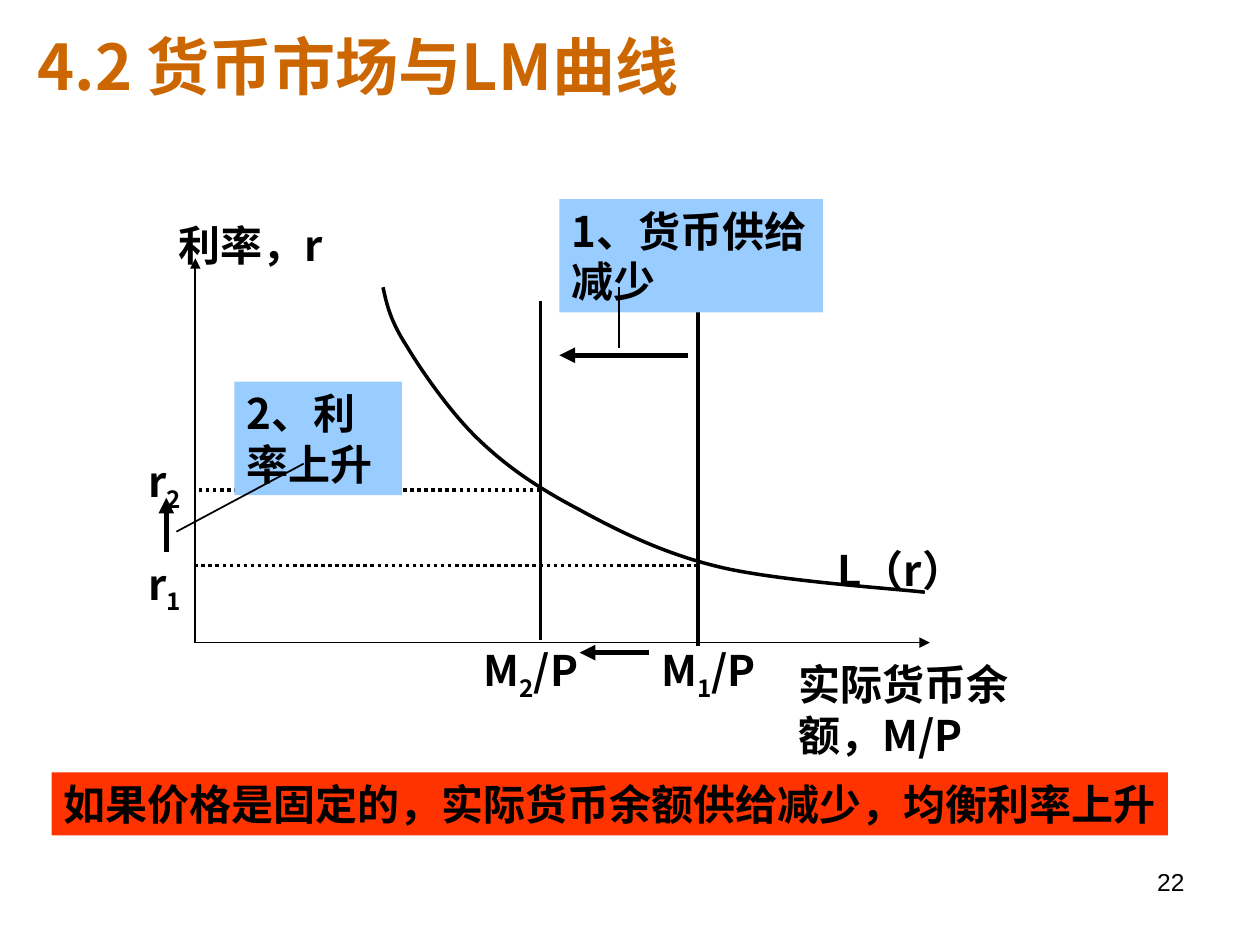
from pptx import Presentation
from pptx.dml.color import RGBColor
from pptx.enum.dml import MSO_LINE
from pptx.enum.shapes import MSO_CONNECTOR, MSO_SHAPE
from pptx.enum.text import MSO_ANCHOR, MSO_AUTO_SIZE, PP_ALIGN
from pptx.oxml.ns import qn
from pptx.util import Inches, Pt
from lxml.etree import SubElement

COLORS = {"ink": "000000", "title": "CC6600", "note": "99CCFF", "banner": "FF3300"}
CJK = "Noto Sans CJK SC"

prs = Presentation()
prs.slide_width, prs.slide_height = Inches(10), Inches(7.5)
s = prs.slides.add_slide(prs.slide_layouts[5])


def write(sp, text, size=24, font=CJK, color="ink", bold=True, align=PP_ALIGN.LEFT,
          anchor=MSO_ANCHOR.TOP, wrap=True):
    """Fill a shape with one paragraph; a part between underscores is a subscript."""
    tf = sp.text_frame
    tf.auto_size = MSO_AUTO_SIZE.NONE
    tf.word_wrap, tf.vertical_anchor = wrap, anchor
    p = tf.paragraphs[0]
    p.alignment = align
    for i, part in enumerate(text.split("_")):
        if not part:
            continue
        r = p.add_run()
        r.text = part
        r.font.size, r.font.bold, r.font.name = Pt(size), bold, font
        r.font.color.rgb = RGBColor.from_string(COLORS[color])
        rPr = r._r.get_or_add_rPr()
        SubElement(rPr, qn("a:ea"), typeface=font)
        if i % 2:
            rPr.set("baseline", "-25000")


def draw_line(x1, y1, x2, y2, width, arrow=False, dotted=False):
    c = s.shapes.add_connector(MSO_CONNECTOR.STRAIGHT, Inches(x1), Inches(y1), Inches(x2), Inches(y2))
    c.line.width = Pt(width)
    c.line.color.rgb = RGBColor.from_string(COLORS["ink"])
    if dotted:
        c.line.dash_style = MSO_LINE.ROUND_DOT
    spPr = c._element.spPr
    if arrow:
        SubElement(spPr.find(qn("a:ln")), qn("a:tailEnd"), type="triangle")
    SubElement(spPr, qn("a:effectLst"))


# Title
title = s.shapes.title
title.left, title.top, title.width, title.height = [Inches(v) for v in (0.2, 0.17, 5.66, 0.7)]
write(title, "4.2 货币市场与LM曲线", size=36, color="title", wrap=False)

# Axes
X0, Y0 = 1.55, 5.1
draw_line(X0, Y0, X0, 2.05, 1, arrow=True)
draw_line(X0, Y0, 7.38, Y0, 1, arrow=True)

# Money demand curve: a start point, then three control points per Bezier segment
curve = [(3.04, 2.28), (3.07, 2.42), (3.1, 2.55), (3.23, 2.75),
         (3.35, 2.95), (3.58, 3.28), (3.8, 3.49),
         (4.02, 3.7), (4.25, 3.86), (4.57, 4.03),
         (4.88, 4.2), (5.25, 4.39), (5.71, 4.5),
         (6.17, 4.61), (7.07, 4.67), (7.34, 4.7)]
points = [(Inches(x), Inches(y)) for x, y in curve]
builder = s.shapes.build_freeform(*points[0])
builder.add_line_segments(points[1:], close=False)
demand = builder.convert_to_shape()
demand.shadow.inherit = False
demand.fill.background()
demand.line.width = Pt(2)
demand.line.color.rgb = RGBColor.from_string(COLORS["ink"])
segments = list(demand._element.iter(qn("a:lnTo")))
outline = segments[0].getparent()
for i in range(0, len(segments), 3):
    bezier = SubElement(outline, qn("a:cubicBezTo"))
    for segment in segments[i:i + 3]:
        bezier.append(segment[0])
        outline.remove(segment)

# Money supply lines and their equilibrium rates
for x, bottom, rate in [(4.29, 5.08, 3.89), (5.54, 5.13, 4.49)]:
    draw_line(x, bottom, x, 2.39, 2)
    draw_line(x, rate, X0, rate, 2, dotted=True)

# Shift arrows
for x1, y1, x2, y2 in [(5.46, 2.82, 4.44, 2.82), (1.32, 4.38, 1.32, 3.95), (5.15, 5.18, 4.6, 5.18)]:
    draw_line(x1, y1, x2, y2, 3, arrow=True)

# Labels
labels = [
    ("利率，r", 1.32, 1.69, 1.64, 0.5),
    ("实际货币余额，M/P", 6.24, 5.18, 2.09, 0.9),
    ("L（r）", 6.55, 4.27, 1.25, 0.9),
    ("r_1_", 1.08, 4.38, 0.62, 0.56),
    ("r_2_", 1.08, 3.57, 0.62, 0.56),
    ("M_2_/P", 3.74, 5.07, 1.09, 0.56),
    ("M_1_/P", 5.15, 5.07, 1.09, 0.56),
]
for text, *box in labels:
    write(s.shapes.add_textbox(*[Inches(v) for v in box]), text)

# Callouts and the conclusion banner
centred = dict(align=PP_ALIGN.CENTER, anchor=MSO_ANCHOR.MIDDLE, wrap=False)
boxes = [
    ("1、货币供给减少", (4.44, 1.58, 2.09, 0.9), "note", {}),
    ("2、利率上升", (1.86, 3.03, 1.33, 0.9), "note", {}),
    ("如果价格是固定的，实际货币余额供给减少，均衡利率上升", (0.41, 6.13, 8.86, 0.5), "banner", centred),
]
for text, box, fill, style in boxes:
    sp = s.shapes.add_shape(MSO_SHAPE.RECTANGLE, *[Inches(v) for v in box])
    sp.shadow.inherit = False
    sp.fill.solid()
    sp.fill.fore_color.rgb = RGBColor.from_string(COLORS[fill])
    sp.line.fill.background()
    write(sp, text, **style)

# Callout leaders
draw_line(4.91, 2.28, 4.91, 2.76, 1)
draw_line(2.41, 3.68, 1.4, 4.22, 1)

# Page number
number = s.shapes.add_textbox(Inches(7.17), Inches(6.83), Inches(2.33), Inches(0.52))
write(number, "22", size=14, font="Arial", bold=False, align=PP_ALIGN.RIGHT)

prs.save("out.pptx")
